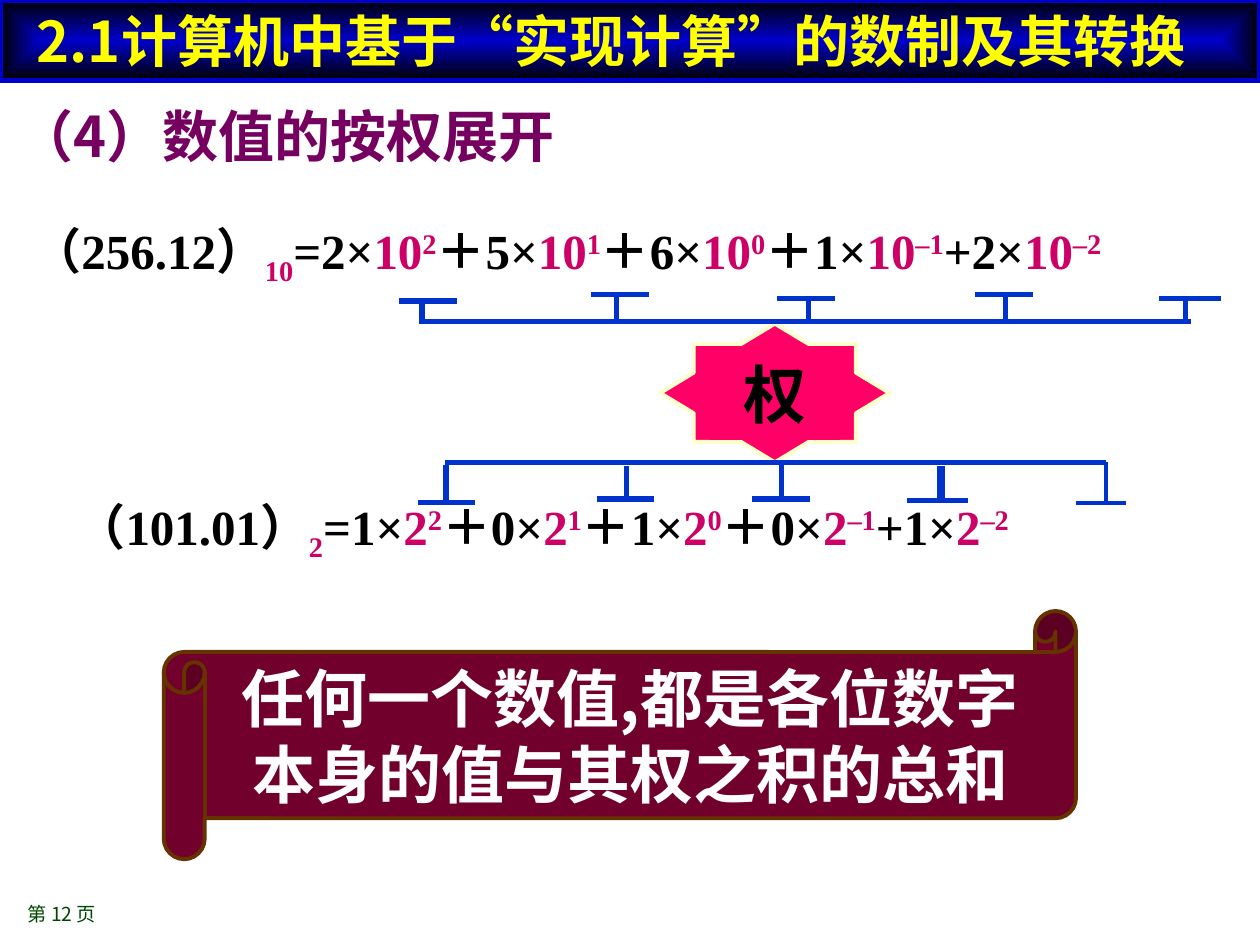
from lxml import etree
from pptx import Presentation
from pptx import util as u
from pptx.dml.color import RGBColor
from pptx.enum import shapes, text
from pptx.oxml.ns import qn

BLACK = RGBColor(0x00, 0x00, 0x00)
WHITE = RGBColor(0xFF, 0xFF, 0xFF)
NAVY = RGBColor(0x00, 0x00, 0xCC)
BLUE = RGBColor(0x00, 0x33, 0xCC)
PINK = RGBColor(0xCC, 0x00, 0x66)
ROSE = RGBColor(0xFF, 0x00, 0x66)
CREAM = RGBColor(0xFF, 0xFF, 0xCC)
WINE = RGBColor(0x72, 0x00, 0x2C)
BROWN = RGBColor(0x66, 0x33, 0x00)
PLUM = RGBColor(0x75, 0x00, 0x5F)
GOLD = RGBColor(0xFF, 0xFF, 0x00)
GREEN = RGBColor(0x00, 0x46, 0x00)

SANS = "Noto Sans CJK SC"
HEAD = "Noto Sans CJK JP"
SERIF = "Times New Roman"
MID = text.MSO_ANCHOR.MIDDLE
TOP = text.MSO_ANCHOR.TOP


class Page:
    def __init__(self, slide):
        self.slide = slide
        self.ink = BLUE

    def run(self, para, words, font, size, color, bold=True, base=0):
        run = para.add_run()
        run.text = words
        run.font.size = u.Pt(size)
        run.font.bold = bold
        run.font.color.rgb = color
        run.font.name = font
        props = run.font._element
        east = SANS if font == SERIF else font
        etree.SubElement(props, qn("a:ea")).set("typeface", east)
        if base:
            props.set("baseline", str(base * 1000))

    def frame(self, shape, anchor, wrap=True, align=text.PP_ALIGN.LEFT):
        body = shape.text_frame
        body.word_wrap = wrap
        body.vertical_anchor = anchor
        para = body.paragraphs[0]
        para.alignment = align
        return para

    def box(self, area, anchor=MID, wrap=True):
        shape = self.slide.shapes.add_textbox(*map(u.Pt, area))
        return self.frame(shape, anchor, wrap)

    def shape(self, kind, area, fill, edge, width, adjust=None):
        shape = self.slide.shapes.add_shape(kind, *map(u.Pt, area))
        shape.shadow.inherit = False
        if adjust is not None:
            shape.adjustments[0] = adjust
        shape.fill.solid()
        shape.fill.fore_color.rgb = fill
        shape.line.color.rgb = edge
        shape.line.width = u.Pt(width)
        return shape

    def glow(self, shape, inner, outer):
        shape.fill.gradient()
        stops = shape.fill.gradient_stops
        for stop, color, place in zip(stops, (inner, outer), (0, 1)):
            stop.color.rgb = color
            stop.position = place
        grad = shape._element.spPr.find(qn("a:gradFill"))
        old = grad.find(qn("a:lin"))
        shade = etree.Element(qn("a:path"), {"path": "shape"})
        rect = etree.SubElement(shade, qn("a:fillToRect"))
        for side in "ltrb":
            rect.set(side, "50000")
        grad.replace(old, shade)

    def line(self, left, top, right, low, width=3):
        line = self.slide.shapes.add_connector(
            shapes.MSO_CONNECTOR.STRAIGHT, *map(u.Pt, (left, top, right, low)))
        line.line.color.rgb = self.ink
        line.line.width = u.Pt(width)
        etree.SubElement(line._element.spPr, qn("a:effectLst"))

    def sum(self, area, value, radix, digits, signs):
        para = self.box(area, wrap=False)
        self.run(para, value, SERIF, 28, BLACK)
        self.run(para, radix, SERIF, 28, PINK, base=-25)
        powers = ("2", "1", "0", "–1", "–2")
        for sign, digit, power in zip(signs, digits, powers):
            self.run(para, f"{sign}{digit}×", SERIF, 28, BLACK)
            self.run(para, radix, SERIF, 28, PINK)
            self.run(para, power, SERIF, 28, PINK, base=30)

    def comb(self, spine, marks):
        left, right, level = spine
        self.line(left, level, right, level)
        for start, end, bar, stem, foot, width in marks:
            self.line(start, bar, end, bar, width)
            self.line(stem, bar, stem, foot, width)


def main():
    deck = Presentation()
    deck.slide_width, deck.slide_height = u.Pt(720), u.Pt(540)
    page = Page(deck.slides.add_slide(deck.slide_layouts[6]))
    kinds = shapes.MSO_SHAPE
    mid = text.PP_ALIGN.CENTER

    foot = page.box((8.6, 508.3, 192.2, 27.4))
    page.run(foot, "第 12 页", SANS, 11, GREEN, bold=False)

    scroll = page.shape(kinds.HORIZONTAL_SCROLL, (93.6, 349.2, 521.3, 141.8),
                        WINE, BROWN, 2.25, 0.165)
    para = page.frame(scroll, MID, align=mid)
    page.run(para, "任何一个数值,都是各位数字本身的值与其权之积的总和",
             HEAD, 36, WHITE)

    signs = ("=", "＋", "＋", "＋", "+")
    page.sum((11.5, 124.6, 704.2, 41), "（256.12）", "10", "25612", signs)

    star = page.shape(kinds.STAR_8_POINT, (377.3, 185, 131, 79.2),
                      ROSE, CREAM, 2.25, 0.383)
    page.run(page.frame(star, MID, False, mid), "权", SANS, 36, BLACK)

    title = page.shape(kinds.RECTANGLE, (0, 0, 720, 46), NAVY, NAVY, 3)
    page.glow(title, NAVY, BLACK)
    para = page.frame(title, MID)
    title.text_frame.margin_left = u.Pt(21)
    title.text_frame.margin_right = u.Pt(0)
    page.run(para, "2.1计算机中基于“实现计算”的数制及其转换", HEAD, 32, GOLD)

    page.sum((36.7, 282.2, 623.5, 41), "（101.01）", "2", "10101", signs)

    topic = page.box((2.9, 54.7, 532.8, 46), TOP)
    page.run(topic, "（4）数值的按权展开", SANS, 32, PLUM)

    page.comb((241.2, 680.4, 183.6), (
        (228.2, 261.4, 172, 241.2, 185, 3),
        (337.7, 370.8, 168.5, 352.1, 182.2, 3),
        (444.2, 477.4, 170.6, 461.8, 185, 3),
        (557.3, 590.4, 168.5, 574.6, 185, 3),
        (662.4, 697.7, 170.6, 677.5, 185, 3)))
    page.comb((254.2, 632.2, 264.2), (
        (239, 271.4, 287.3, 254.9, 265.7, 3),
        (341.3, 373.7, 285.1, 357.8, 266.4, 3),
        (429.8, 463, 285.1, 446.4, 265.7, 3),
        (518.4, 553, 285.8, 537.1, 266.4, 3),
        (524.9, 550.8, 285.8, 538.6, 266.4, 3),
        (614.9, 643.7, 287.3, 632.2, 264.2, 2.25)))

    deck.save("out.pptx")


if __name__ == "__main__":
    main()
